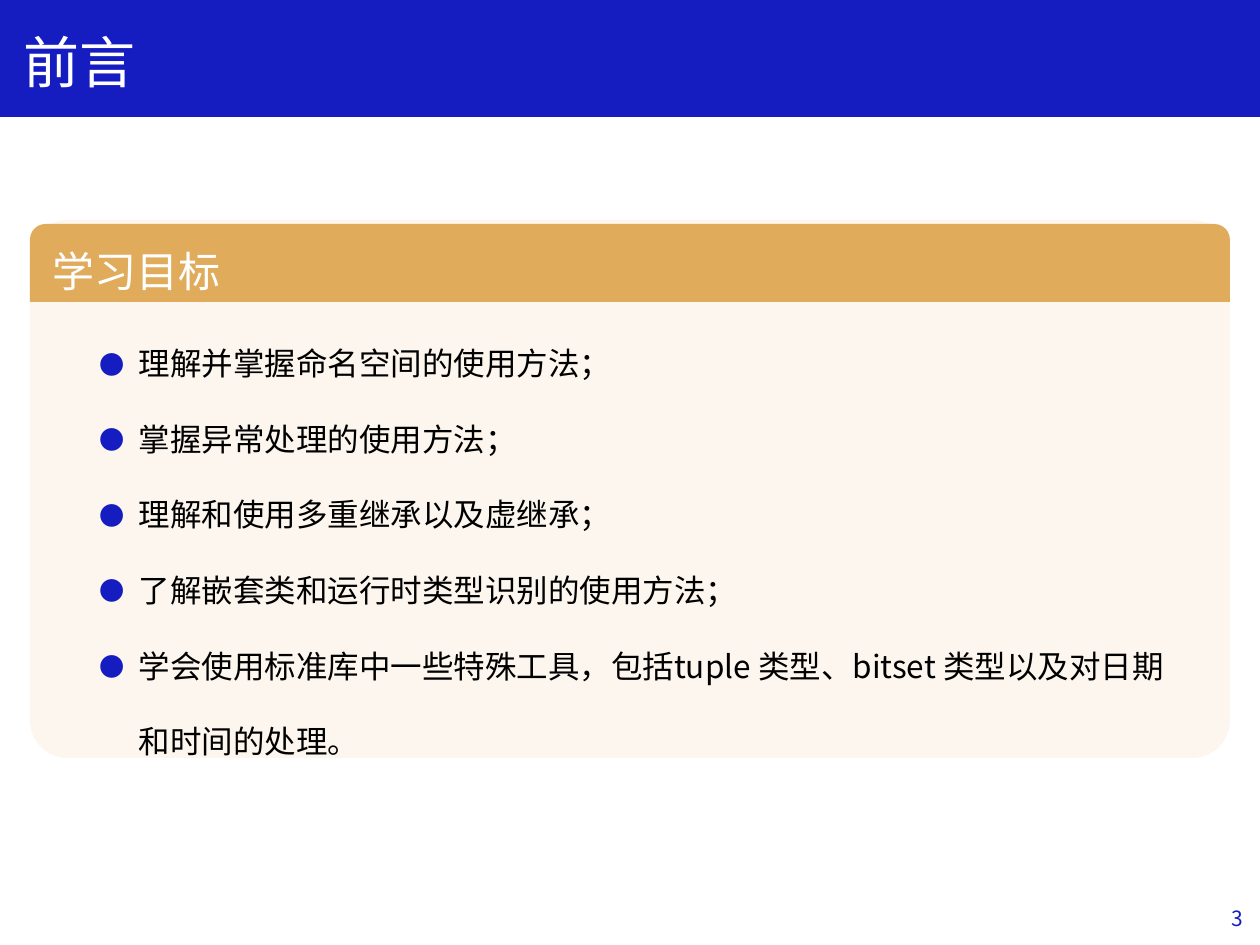
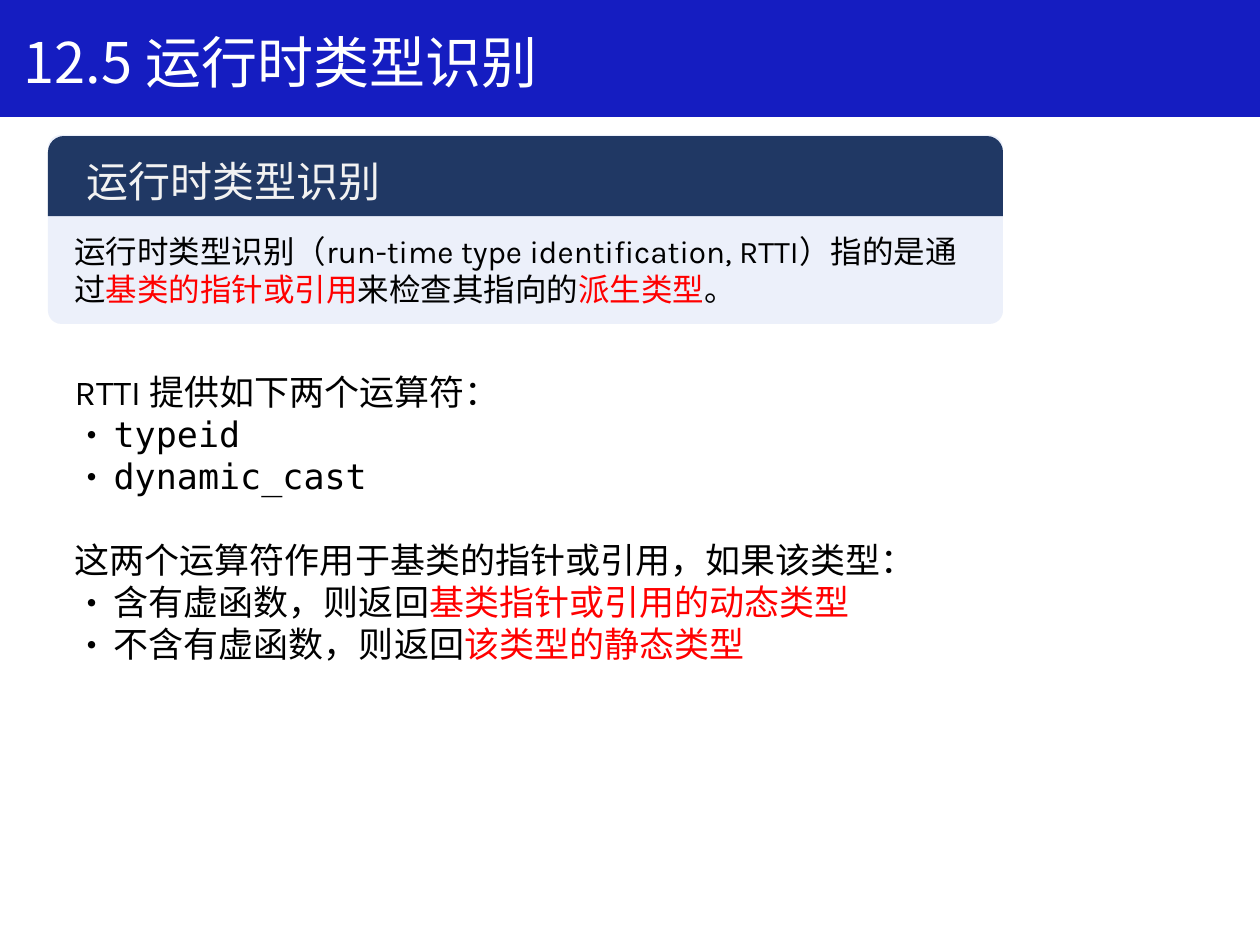
"""Build two lecture slides on advanced C++ tools: learning goals and run-time type identification."""
from lxml import etree
from pptx import Presentation
from pptx import util as u
from pptx.dml.color import RGBColor
from pptx.enum import shapes, text
from pptx.oxml.ns import qn

EMU_PER_PX = 914400 / 126
COLORS = {
    "blue": "151DC1", "white": "FFFFFF", "black": "000000", "red": "FF0000",
    "gold": "E0AB5B", "cream": "FCF6EE", "navy": "203864", "mist": "ECF0FA", "pale": "F2F2F2",
}
CJK, SANS, MONO = "Noto Sans CJK SC", "Karla", "DejaVu Sans Mono"
SINGLE = 1.2


def px(*lengths):
    return [round(length * EMU_PER_PX) for length in lengths]


def write(frame, *parts, size=18, color="black", font=CJK, spacing=1, before=0,
          align=text.PP_ALIGN.LEFT, bullet=None, bullet_color="black", bullet_percent=100):
    """Add a paragraph; a part is a string or a (text, color, font) tuple."""
    frame.word_wrap = True
    frame.auto_size = text.MSO_AUTO_SIZE.NONE
    paragraph = frame.paragraphs[0] if not frame.text else frame.add_paragraph()
    paragraph.alignment = align
    paragraph.line_spacing = u.Pt(size * SINGLE * spacing)
    paragraph.space_before = u.Pt(before)
    paragraph.space_after = u.Pt(0)
    properties = paragraph._p.get_or_add_pPr()
    indent = px(39)[0] if bullet else 0
    properties.set("marL", str(indent))
    properties.set("indent", str(-indent))
    if bullet:
        bullet_fill = etree.SubElement(properties, qn("a:buClr"))
        etree.SubElement(bullet_fill, qn("a:srgbClr"), val=COLORS[bullet_color])
        etree.SubElement(properties, qn("a:buSzPct"), val=str(bullet_percent * 1000))
        etree.SubElement(properties, qn("a:buFont"), typeface=CJK)
        etree.SubElement(properties, qn("a:buChar"), char=bullet)
    else:
        etree.SubElement(properties, qn("a:buNone"))
    for part in parts:
        content, run_color, run_font = (part, color, font) if isinstance(part, str) else part
        run = paragraph.add_run()
        run.text = content
        run.font.size = u.Pt(size)
        run.font.name = run_font
        run.font.color.rgb = RGBColor.from_string(COLORS[run_color])
        etree.SubElement(run._r.get_or_add_rPr(), qn("a:ea"), typeface=CJK)


presentation = Presentation()
presentation.slide_width, presentation.slide_height = px(1260, 945)

pages = [
    {"title": "前言", "heading": "学习目标", "heading_color": "white",
     "heading_box": (40, 239, 630, 63), "panel": (30, 220, 1200, 538), "panel_color": "cream",
     "header": (30, 224, 1200, 78), "header_color": "gold", "body": (87, 300, 1100, 459)},
    {"title": "12.5 运行时类型识别", "heading": "运行时类型识别", "heading_color": "pale",
     "heading_box": (74, 149, 713, 40), "panel": (48, 135, 955, 189), "panel_color": "mist",
     "header": (48, 136, 955, 80), "header_color": "navy", "body": (62, 364, 998, 310)},
]
slides, bodies = [], []
for page in pages:
    slide = presentation.slides.add_slide(presentation.slide_layouts[1])
    title, body = slide.placeholders
    title.left, title.top, title.width, title.height = px(11, 21, 980, 81)
    title.text_frame.vertical_anchor = text.MSO_ANCHOR.TOP
    write(title.text_frame, page["title"], size=32, color="white")

    for kind, part, adjustments in (
        (shapes.MSO_SHAPE.ROUNDED_RECTANGLE, "panel", [0.07]),
        (shapes.MSO_SHAPE.ROUND_2_SAME_RECTANGLE, "header", [0.2, 0]),
    ):
        shape = slide.shapes.add_shape(kind, *px(*page[part]))
        for index, value in enumerate(adjustments):
            shape.adjustments[index] = value
        shape.shadow.inherit = False
        shape.fill.solid()
        shape.fill.fore_color.rgb = RGBColor.from_string(COLORS[page[part + "_color"]])
        shape.line.fill.background()

    heading = slide.shapes.add_textbox(*px(*page["heading_box"]))
    write(heading.text_frame, page["heading"], size=24, color=page["heading_color"])

    body.left, body.top, body.width, body.height = px(*page["body"])
    body.text_frame.vertical_anchor = text.MSO_ANCHOR.TOP
    slide.shapes._spTree.append(body._element)
    slides.append(slide)
    bodies.append(body.text_frame)

goals_slide, rtti_slide = slides
goals, operators = bodies

band = goals_slide.shapes.add_shape(shapes.MSO_SHAPE.RECTANGLE, *px(0, 0, 1260, 116))
band.shadow.inherit = False
band.fill.solid()
band.fill.fore_color.rgb = RGBColor.from_string(COLORS["blue"])
band.line.color.rgb = RGBColor.from_string(COLORS["blue"])
band.line.width = u.Pt(1)
presentation.slide_master.shapes._spTree.append(band._element)

for goal in (
    "理解并掌握命名空间的使用方法；",
    "掌握异常处理的使用方法；",
    "理解和使用多重继承以及虚继承；",
    "了解嵌套类和运行时类型识别的使用方法；",
    "学会使用标准库中一些特殊工具，包括tuple 类型、bitset 类型以及对日期和时间的处理。",
):
    write(goals, goal, spacing=2, bullet="●", bullet_color="blue", bullet_percent=80)

number = goals_slide.shapes.add_textbox(*px(973, 893, 283, 50))
number.text_frame.vertical_anchor = text.MSO_ANCHOR.MIDDLE
write(number.text_frame, "3", size=12, color="blue", align=text.PP_ALIGN.RIGHT)

definition = rtti_slide.shapes.add_textbox(*px(62, 226, 912, 89))
write(
    definition.text_frame,
    "运行时类型识别（",
    ("run-time type identification, RTTI", "black", SANS),
    "）指的是通过",
    ("基类的指针或引用", "red", CJK),
    "来检查其指向的",
    ("派生类型", "red", CJK),
    "。",
)

write(operators, ("RTTI ", "black", SANS), "提供如下两个运算符：", size=20)
for operator in ("typeid", "dynamic_cast"):
    write(operators, operator, size=20, font=MONO, bullet="•")
write(operators, "这两个运算符作用于基类的指针或引用，如果该类型：", size=20, before=24)
for condition, result in (
    ("含有虚函数，则返回", "基类指针或引用的动态类型"),
    ("不含有虚函数，则返回", "该类型的静态类型"),
):
    write(operators, condition, (result, "red", CJK), size=20, bullet="•")

presentation.save("out.pptx")
